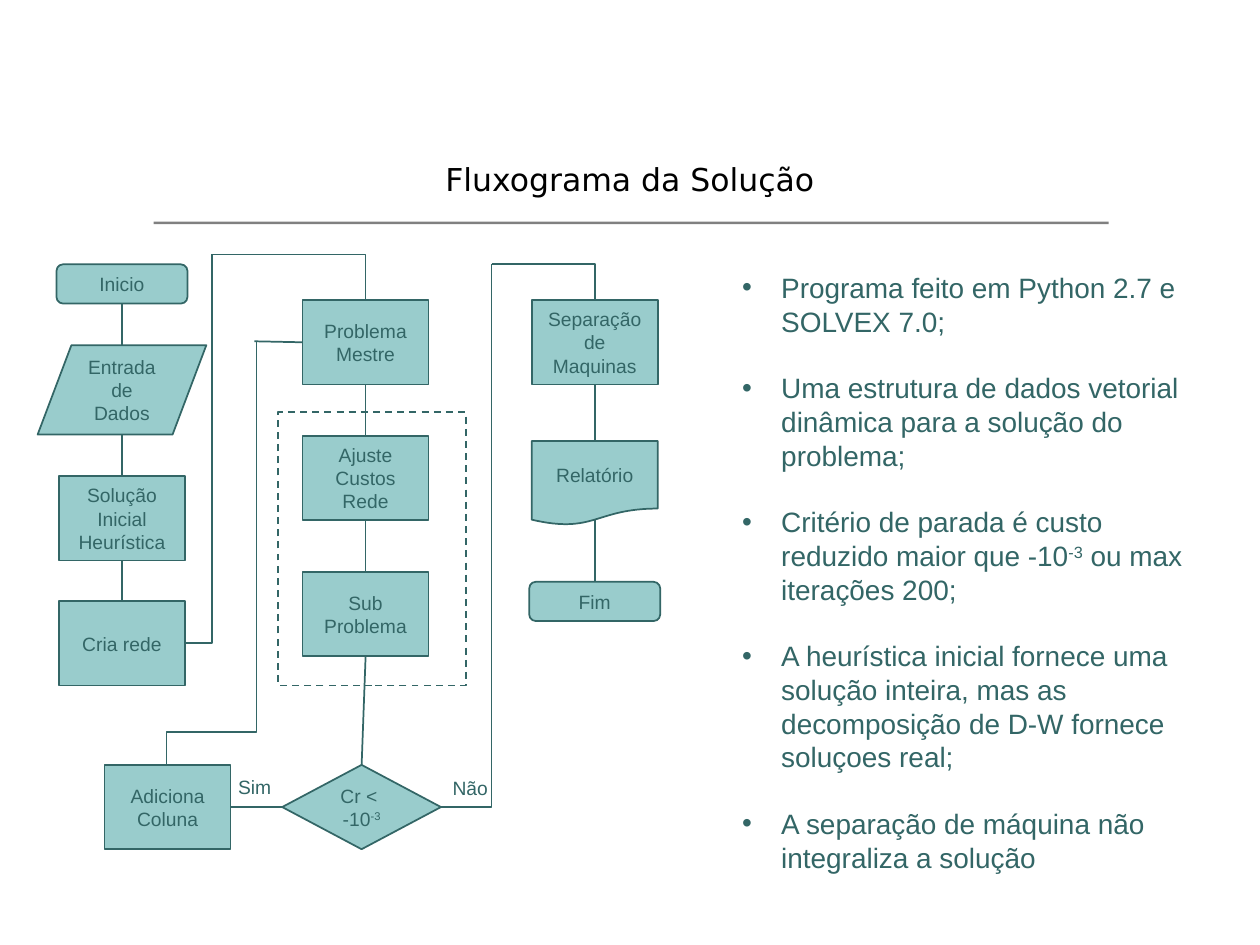
import pptx
import pptx.util
import pptx.dml.color
import pptx.enum.dml
import pptx.enum.shapes
import pptx.enum.text
import pptx.oxml.ns
import lxml.etree

Cm, Pt = pptx.util.Cm, pptx.util.Pt
qn = pptx.oxml.ns.qn
KIND = pptx.enum.shapes.MSO_SHAPE
LINK = pptx.enum.shapes.MSO_CONNECTOR
ALIGN = pptx.enum.text.PP_ALIGN
ANCHOR = pptx.enum.text.MSO_ANCHOR
DARK, LIGHT = "336666", "99CCCC"


def color(hex_text):
    return pptx.dml.color.RGBColor.from_string(hex_text)


def write(box, lines, para_format, size=11, font="Arial", ink=DARK,
          anchor=ANCHOR.MIDDLE, wrap=True):
    """Fill a box with paragraphs; text between ^ marks is superscript."""
    frame = box.text_frame
    frame.word_wrap = wrap
    frame.vertical_anchor = anchor
    for number, line in enumerate(lines):
        para = frame.add_paragraph() if number else frame.paragraphs[0]
        for name, value in para_format.items():
            setattr(para, name, value)
        for part, text in enumerate(line.split("^")):
            span = para.add_run()
            span.text = text
            for name, value in {"size": Pt(size), "name": font}.items():
                setattr(span.font, name, value)
            span.font.color.rgb = color(ink)
            if part % 2:
                span.font._element.set("baseline", "30000")


deck = pptx.Presentation()
deck.slide_width, deck.slide_height = Cm(25.4), Cm(19.05)
page = deck.slides.add_slide(deck.slide_layouts[6])
shapes = page.shapes
centered = {"alignment": ALIGN.CENTER}

# Title and the rule below it
rule = shapes.add_shape(KIND.RECTANGLE, Cm(3.1), Cm(4.47), Cm(19.25), Cm(0.05))
rule.shadow.inherit = False
rule.fill.solid()
rule.fill.fore_color.rgb = color("808080")
rule.line.fill.background()
title = shapes.add_textbox(Cm(0), Cm(2.34), Cm(25.4), Cm(2.54))
write(title, ["Fluxograma da Solução"], centered, 18, "DejaVu Sans", "000000")

# Flowchart steps: each column has steps as (kind, center x, top, lines)
sizes = {
    KIND.FLOWCHART_ALTERNATE_PROCESS: (2.64, 0.79),
    KIND.FLOWCHART_DATA: (3.4, 1.8),
    KIND.FLOWCHART_PROCESS: (2.54, 1.7),
    KIND.FLOWCHART_DOCUMENT: (2.54, 1.7),
    KIND.FLOWCHART_DECISION: (3.2, 1.7),
}
columns = [
    [(KIND.FLOWCHART_ALTERNATE_PROCESS, 2.46, 5.33, ["Inicio"]),
     (KIND.FLOWCHART_DATA, 2.46, 6.96, ["Entrada de Dados"]),
     (KIND.FLOWCHART_PROCESS, 2.46, 9.6, ["Solução Inicial", "Heurística"]),
     (KIND.FLOWCHART_PROCESS, 2.46, 12.12, ["Cria rede"])],
    [(KIND.FLOWCHART_PROCESS, 7.37, 6.05, ["Problema Mestre"]),
     (KIND.FLOWCHART_PROCESS, 7.37, 8.79, ["Ajuste Custos Rede"]),
     (KIND.FLOWCHART_PROCESS, 7.37, 11.53, ["Sub", "Problema"]),
     (KIND.FLOWCHART_DECISION, 7.29, 15.42, ["Cr < ", "-10^-3^"])],
    [(KIND.FLOWCHART_PROCESS, 11.99, 6.05, ["Separação de Maquinas"]),
     (KIND.FLOWCHART_DOCUMENT, 11.99, 8.89, ["Relatório"]),
     (KIND.FLOWCHART_ALTERNATE_PROCESS, 11.99, 11.73, ["Fim"])],
    [(KIND.FLOWCHART_PROCESS, 3.38, 15.42, ["Adiciona", "Coluna"])],
]
links = []
for column in columns:
    previous = None
    for kind, center, top, lines in column:
        width, height = sizes[kind]
        step = shapes.add_shape(kind, Cm(center - width / 2), Cm(top),
                                Cm(width), Cm(height))
        step.shadow.inherit = False
        step.fill.solid()
        step.fill.fore_color.rgb = color(LIGHT)
        step.line.color.rgb = color(DARK)
        step.line.width = Pt(1)
        write(step, lines, centered)
        if previous:
            links.append(("line", *previous, center, top))
        # The wavy edge of a document lies above its lower bound
        dip = 0.13 if kind == KIND.FLOWCHART_DOCUMENT else 0
        previous = (center, top + height - dip)

# Links between columns; the last one is turned a quarter
links += [
    ("bentConnector2", 3.73, 12.97, 4.27, 5.13),
    ("bentConnector2", 4.27, 5.13, 7.37, 6.05),
    ("bentConnector2", 8.89, 16.27, 9.91, 5.33),
    ("bentConnector2", 9.91, 5.33, 11.99, 6.05),
    ("line", 5.69, 16.27, 4.65, 16.27),
    ("line", 6.1, 6.9, 5.13, 6.88),
    ("bentConnector3", 8.53, 12.07, 0, 10.26),
]
for preset, *ends in links:
    kind = LINK.STRAIGHT if preset == "line" else LINK.ELBOW
    link = shapes.add_connector(kind, *[Cm(value) for value in ends])
    link.line.color.rgb = color(DARK)
    link.line.width = Pt(1)
    properties = link._element.spPr
    lxml.etree.SubElement(properties, qn("a:effectLst"))
    geometry = properties.find(qn("a:prstGeom"))
    geometry.set("prst", preset)
    if preset == "bentConnector3":
        properties.find(qn("a:xfrm")).set("rot", "5400000")
        lxml.etree.SubElement(geometry.find(qn("a:avLst")), qn("a:gd"),
                              name="adj1", fmla="val 7800")

# Answers of the decision
for text, left, top, width in [("Sim", 4.5, 15.49, 1.27),
                               ("Não", 8.64, 15.52, 1.68)]:
    label = shapes.add_textbox(Cm(left), Cm(top), Cm(width), Cm(0.74))
    write(label, [text], centered, wrap=False)

# Notes on the right
notes = shapes.add_textbox(Cm(14.71), Cm(5.33), Cm(10.01), Cm(12.57))
write(notes, [
    "Programa feito em Python 2.7 e SOLVEX 7.0;",
    "Uma estrutura de dados vetorial dinâmica para a solução do problema;",
    "Critério de parada é custo reduzido maior que -10^-3^ ou max iterações 200;",
    "A heurística inicial fornece uma solução inteira, mas as decomposição "
    "de D-W fornece soluçoes real;",
    "A separação de máquina não integraliza a solução",
], {"alignment": ALIGN.LEFT}, 16, anchor=ANCHOR.TOP)
for number, para in enumerate(notes.text_frame.paragraphs):
    para.space_before = Pt(19 if number else 0)
    indent = para._element.get_or_add_pPr()
    indent.set("marL", str(Cm(0.79)))
    indent.set("indent", str(-Cm(0.79)))
    lxml.etree.SubElement(indent, qn("a:buFont"), typeface="Arial")
    lxml.etree.SubElement(indent, qn("a:buChar"), char="•")

# Dashed frame around the pricing steps
border = shapes.add_shape(KIND.RECTANGLE, Cm(5.61), Cm(8.31), Cm(3.78), Cm(5.51))
border.shadow.inherit = False
border.fill.background()
border.line.color.rgb = color(DARK)
border.line.width = Pt(1)
border.line.dash_style = pptx.enum.dml.MSO_LINE.DASH

deck.save("out.pptx")
